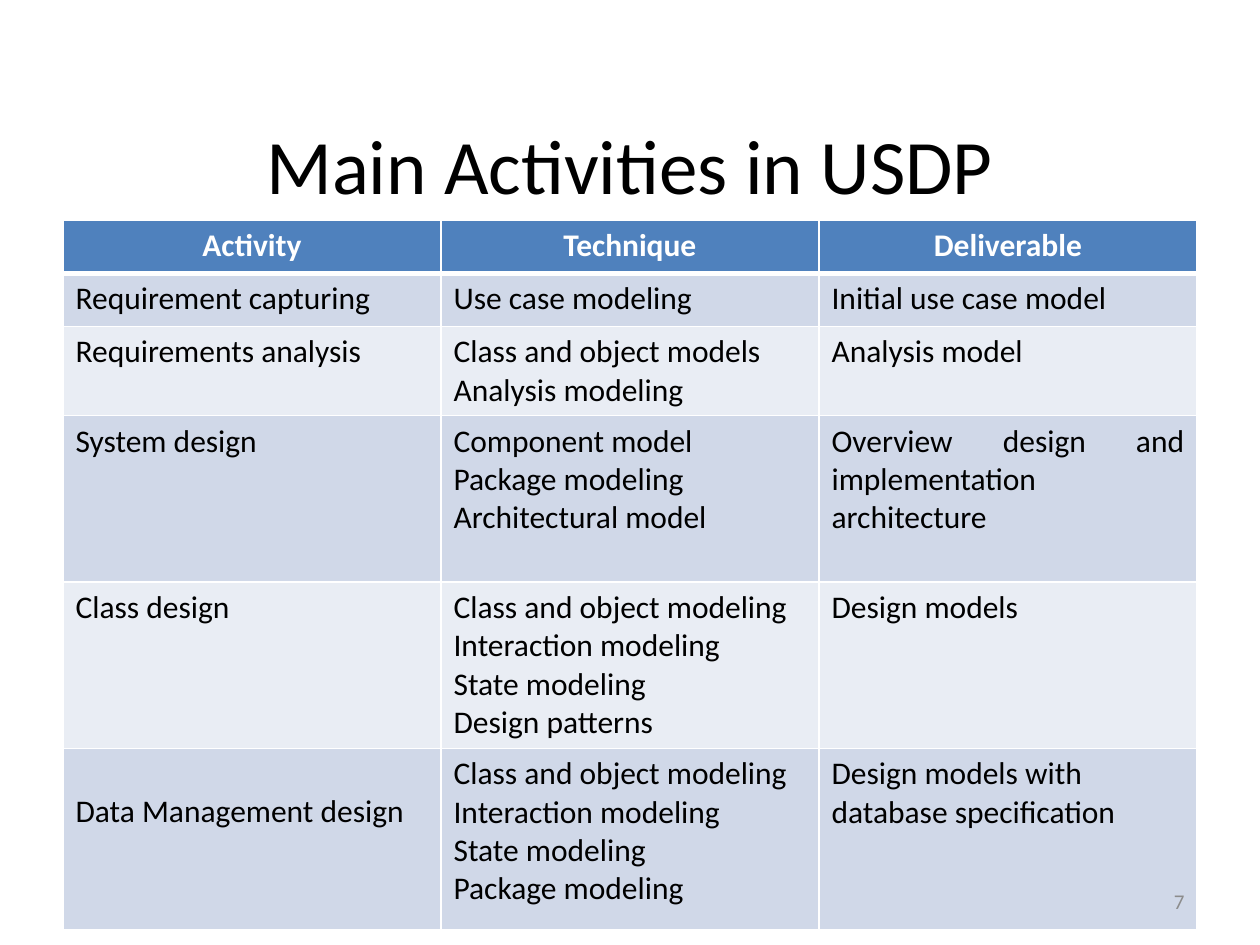
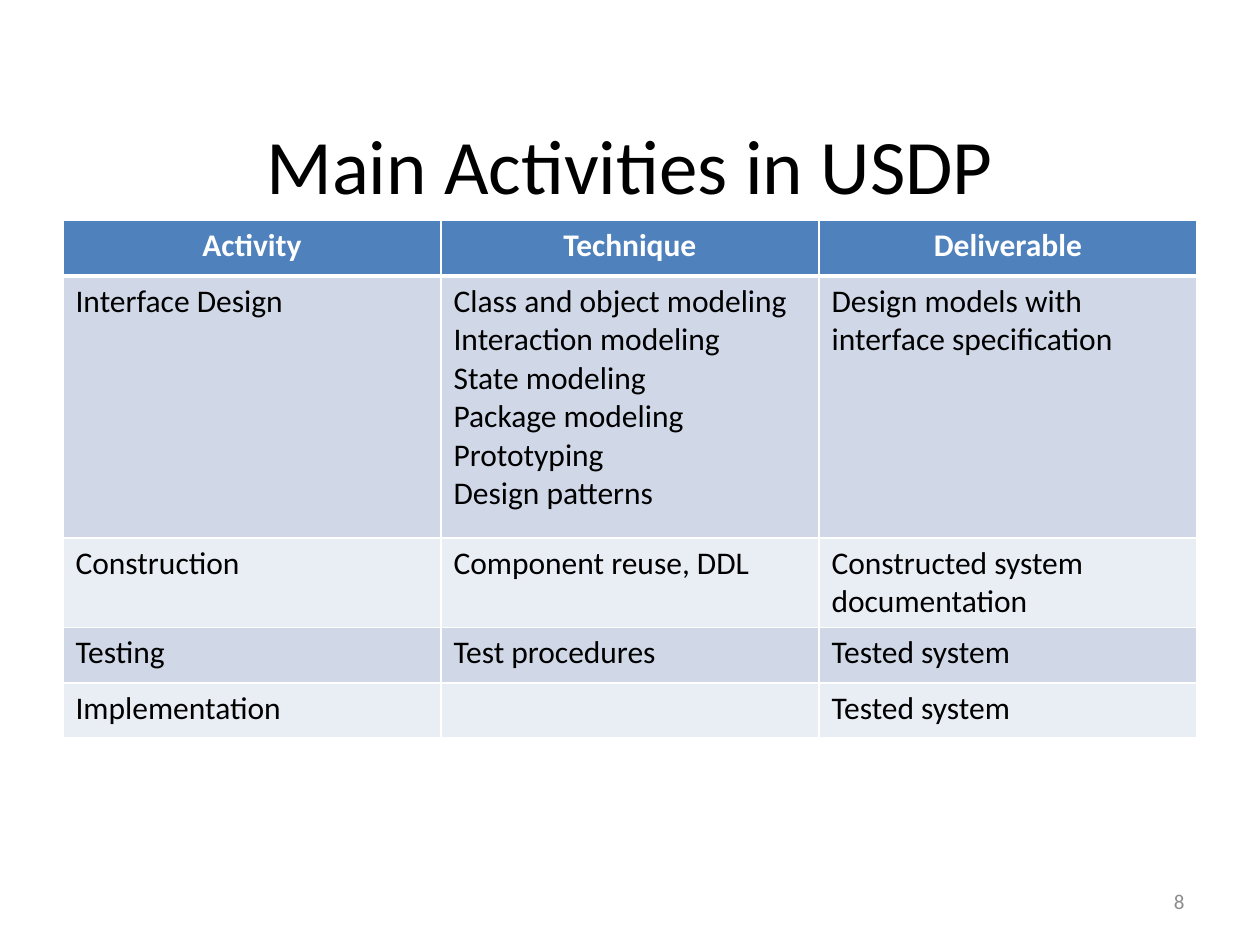
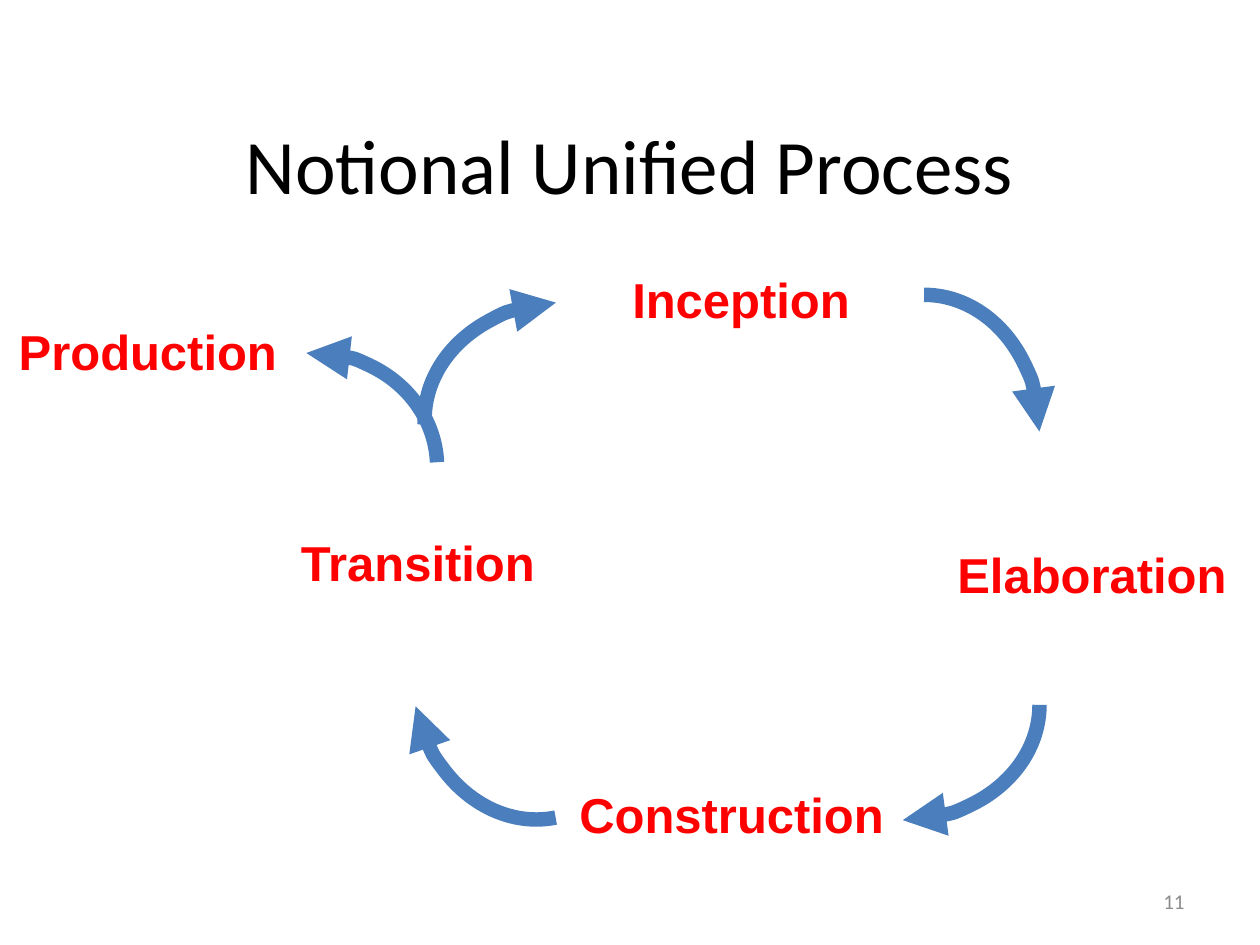
from collections import namedtuple

from lxml.etree import SubElement
from pptx import Presentation
from pptx.dml.color import RGBColor
from pptx.enum.shapes import MSO_SHAPE
from pptx.enum.text import MSO_ANCHOR as Anchor, PP_ALIGN as Align
from pptx.oxml.ns import qn
from pptx.util import Inches, Pt

SLIDE_WIDTH, SLIDE_HEIGHT = Inches(10), Inches(7.5)
COLUMN, ROW = SLIDE_WIDTH / 20, SLIDE_HEIGHT / 15

WHITE = RGBColor(0xFF, 0xFF, 0xFF)
BLACK = RGBColor(0x00, 0x00, 0x00)
RED = RGBColor(0xFF, 0x00, 0x00)
GRAY = RGBColor(0x8C, 0x8C, 0x8C)
HEADER_BLUE = RGBColor(0x4F, 0x81, 0xBD)
ARROW_BLUE = RGBColor(0x4B, 0x7E, 0xBC)
BANDS = (RGBColor(0xE9, 0xED, 0xF4), RGBColor(0xD0, 0xD8, 0xE8))

Box = namedtuple("Box", "left top width height")
TITLE_BOX = Box(1, 1.34, 18, 2.5)
NUMBER_BOX = Box(14.34, 13.9, 4.66, 0.8)
TABLE_BOX = Box(1, 3.5, 18, 11.16)
CYCLE_BOX = Box(0, 4, 20, 10)

HEADINGS = ("Activity", "Technique", "Deliverable")
DESIGN_MODELING = "Class and object modeling\nInteraction modeling\nState modeling\n"
EARLY_ACTIVITIES = [
    ("Requirement capturing", "Use case modeling", "Initial use case model"),
    ("Requirements analysis", "Class and object models\nAnalysis modeling", "Analysis model"),
    ("System design", "Component model\nPackage modeling\nArchitectural model",
     "Overview design and implementation architecture"),
    ("Class design", DESIGN_MODELING + "Design patterns", "Design models"),
    ("Data Management design", DESIGN_MODELING + "Package modeling",
     "Design models with database specification"),
]
LATE_ACTIVITIES = [
    ("Interface Design", DESIGN_MODELING + "Package modeling\nPrototyping\nDesign patterns",
     "Design models with interface specification"),
    ("Construction", "Component reuse, DDL", "Constructed system documentation"),
    ("Testing", "Test procedures", "Tested system"),
    ("Implementation", "", "Tested system"),
]
PHASES = [
    ("Inception", Box(9.84, 0.18, 3.94, 1.14)),
    ("Elaboration", Box(15, 4.54, 5, 1.14)),
    ("Construction", Box(9, 8.36, 5.28, 1.14)),
    ("Transition", Box(4.58, 4.36, 4.5, 1.14)),
    ("Production", Box(0.1, 1, 4.84, 1.14)),
]
ARROWS = [
    (Box(12.84, 0.68, 3.66, 4.34), 0, False),
    (Box(12.5, 5.02, 3.66, 4.34), 90, False),
    (Box(6.56, 4.68, 3.66, 4.34), 168.6, False),
    (Box(7.08, 0.46, 3.66, 4.34), 267.3, False),
    (Box(3.12, 1.44, 3.66, 3.98), 267.3, True),
]


def place(box):
    return (round(box.left * COLUMN), round(box.top * ROW),
            round(box.width * COLUMN), round(box.height * ROW))


def inside(outer, box):
    return box._replace(left=outer.left + box.left, top=outer.top + box.top)


def write(text_frame, text, size, color, font="Calibri", bold=False, align=Align.LEFT):
    text_frame.text = text
    for paragraph in text_frame.paragraphs:
        paragraph.alignment = align
        for run in paragraph.runs:
            run.font.name = font
            run.font.size = Pt(size)
            run.font.bold = bold
            run.font.color.rgb = color


def add_text(slide, box, text, size, color, anchor=Anchor.MIDDLE, **style):
    shape = slide.shapes.add_textbox(*place(box))
    shape.text_frame.word_wrap = True
    shape.text_frame.vertical_anchor = anchor
    write(shape.text_frame, text, size, color, **style)
    return shape


def add_title(slide, box, title):
    add_text(slide, box, title, 44, BLACK, align=Align.CENTER)


def add_number(slide, box, number):
    add_text(slide, box, str(number), 12, GRAY, align=Align.RIGHT)


def set_borders(cell, top, bottom):
    properties = cell._tc.get_or_add_tcPr()
    for side, points in (("L", 1), ("R", 1), ("T", top), ("B", bottom)):
        line = SubElement(properties, qn(f"a:ln{side}"), w=str(Pt(points)))
        fill = SubElement(line, qn("a:solidFill"))
        SubElement(fill, qn("a:srgbClr"), val=str(WHITE))


def add_activities(slide, box, activities, heights, justified):
    rows = [HEADINGS, *activities]
    box = box._replace(height=sum(heights))
    table = slide.shapes.add_table(len(rows), len(HEADINGS), *place(box)).table
    for row, height in zip(table.rows, heights):
        row.height = round(height * ROW)
    for row_index, texts in enumerate(rows):
        header = row_index == 0
        for column_index, text in enumerate(texts):
            cell = table.cell(row_index, column_index)
            set_borders(cell, 3 if row_index == 1 else 1, 3 if header else 1)
            cell.fill.solid()
            cell.fill.fore_color.rgb = HEADER_BLUE if header else BANDS[row_index % 2]
            align = Align.JUSTIFY if row_index in justified else Align.LEFT
            write(cell.text_frame, text, 18, WHITE if header else BLACK,
                  bold=header, align=Align.CENTER if header else align)
    return table


def add_arrow(slide, box, rotation, flipped):
    arrow = slide.shapes.add_shape(MSO_SHAPE.ARC, *place(box))
    arrow.rotation = rotation
    arrow.fill.background()
    arrow.line.color.rgb = ARROW_BLUE
    arrow.line.width = Pt(8.25)
    arrow.shadow.inherit = False
    properties = arrow._element.spPr
    SubElement(properties.find(qn("a:ln")), qn("a:tailEnd"), type="triangle")
    if flipped:
        properties.find(qn("a:xfrm")).set("flipV", "1")


def add_cycle(slide, box):
    for phase, label_box in PHASES:
        label = add_text(slide, inside(box, label_box), phase, 28, RED,
                         anchor=Anchor.TOP, font="Arial", bold=True)
        label.fill.solid()
        label.fill.fore_color.rgb = WHITE
    for arrow_box, rotation, flipped in ARROWS:
        add_arrow(slide, inside(box, arrow_box), rotation, flipped)


def add_slide(presentation, title):
    slide = presentation.slides.add_slide(presentation.slide_layouts[6])
    add_title(slide, TITLE_BOX, title)
    return slide


def main():
    presentation = Presentation()
    presentation.slide_width, presentation.slide_height = SLIDE_WIDTH, SLIDE_HEIGHT

    slide = add_slide(presentation, "Main Activities in USDP")
    table = add_activities(slide, TABLE_BOX, EARLY_ACTIVITIES,
                           (0.84, 0.84, 1.42, 2.64, 2.64, 2.88), {1, 2, 3})
    table.cell(5, 0).margin_top = Inches(0.35)
    add_number(slide, NUMBER_BOX, 7)

    slide = add_slide(presentation, "Main Activities in USDP")
    add_activities(slide, TABLE_BOX, LATE_ACTIVITIES, (0.88, 4.16, 1.42, 0.88, 0.88), {3})
    add_number(slide, NUMBER_BOX, 8)

    slide = add_slide(presentation, "Notional Unified Process")
    add_cycle(slide, CYCLE_BOX)
    add_number(slide, NUMBER_BOX, 11)

    presentation.save("out.pptx")


if __name__ == "__main__":
    main()
